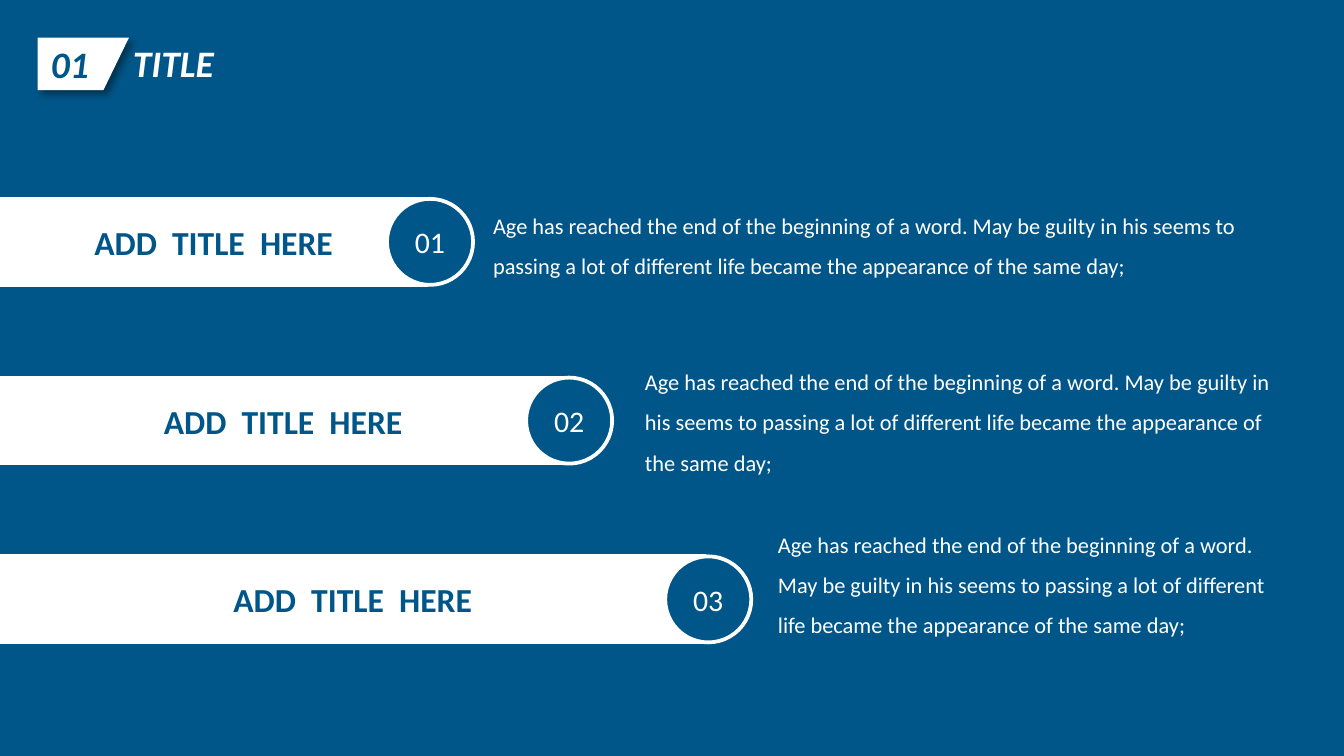
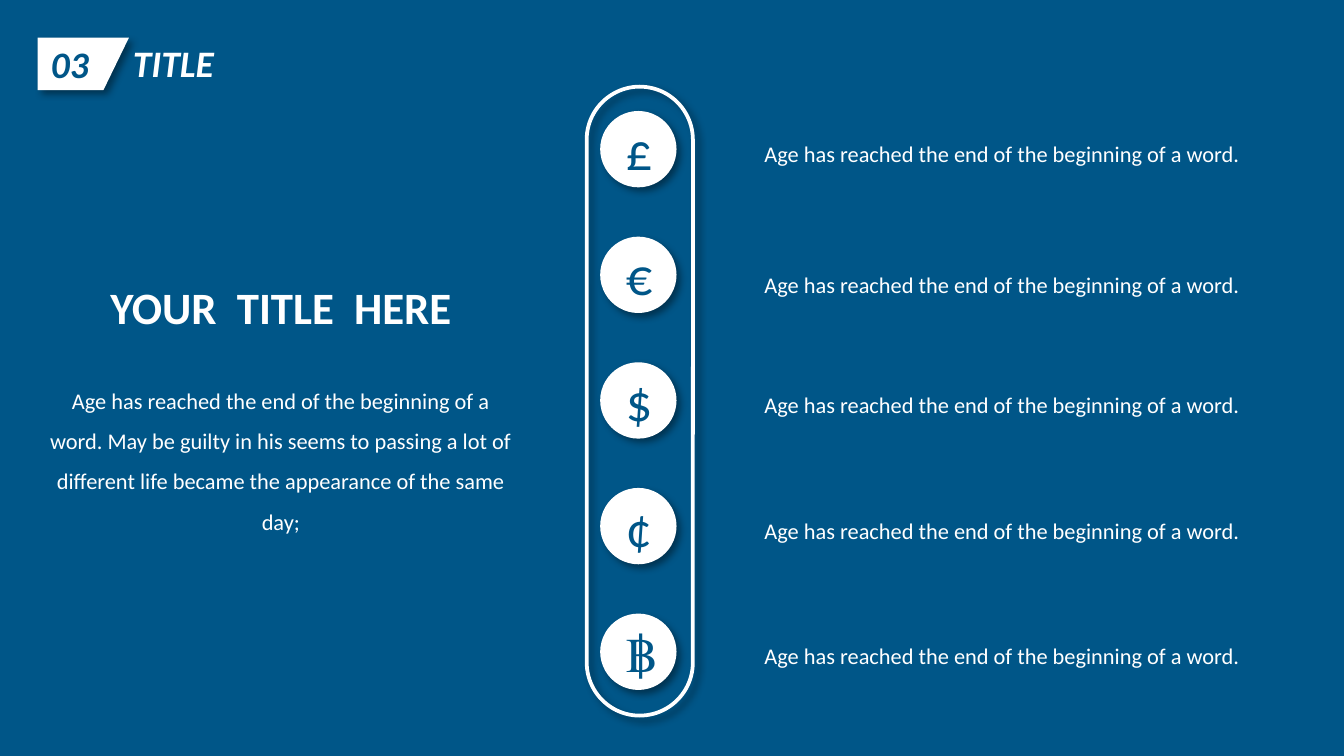
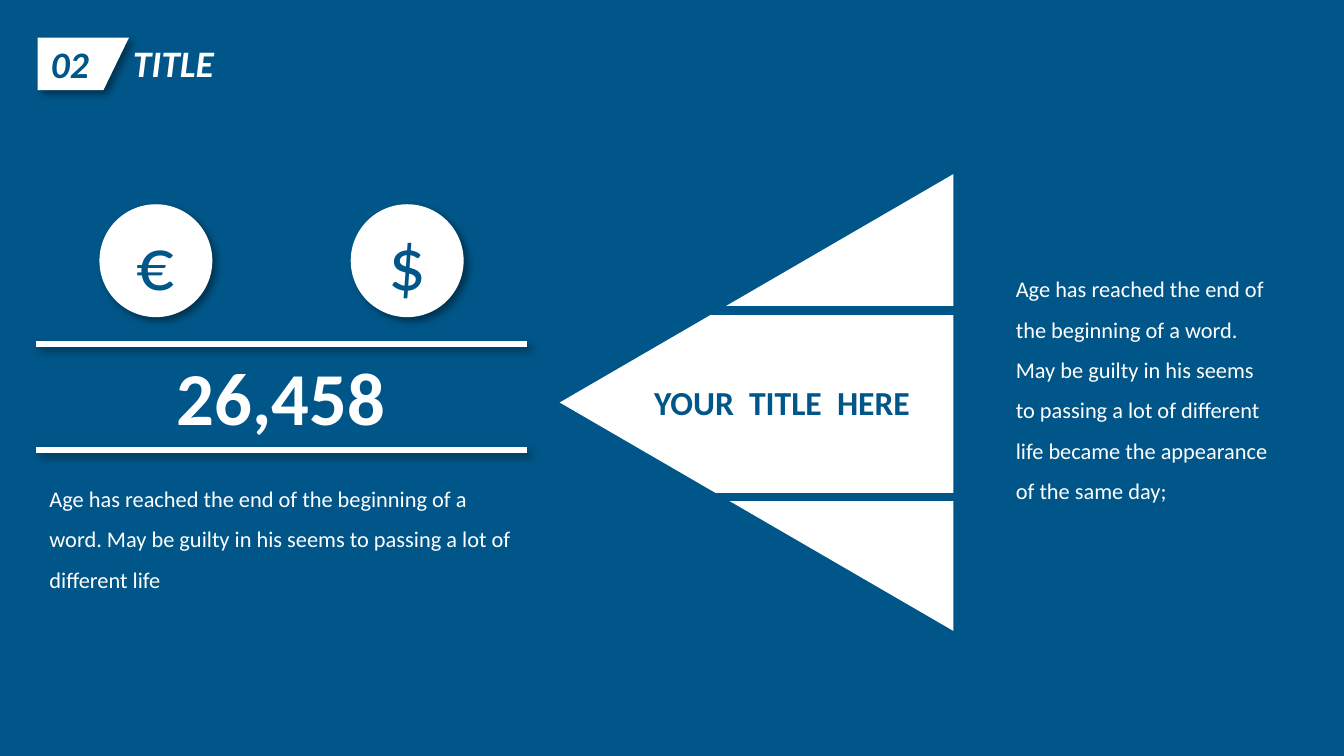
from dataclasses import dataclass

from lxml.etree import SubElement
from pptx import Presentation
from pptx.dml.color import RGBColor
from pptx.enum.shapes import MSO_CONNECTOR, MSO_SHAPE
from pptx.enum.text import MSO_ANCHOR as Anchor, MSO_AUTO_SIZE as AutoSize, PP_ALIGN as Align
from pptx.oxml.ns import qn
from pptx.util import Inches, Pt


@dataclass(frozen=True)
class Theme:
    blue: RGBColor = RGBColor(0x00, 0x56, 0x88)
    white: RGBColor = RGBColor(0xFF, 0xFF, 0xFF)
    font: str = "Calibri"
    body: int = 12
    number: int = 16
    label: int = 18
    title: int = 20
    heading: int = 24
    symbol: int = 28
    figure: int = 40
    body_spacing: float = 1.5
    outline: float = 2
    rule: float = 3
    cut: float = 4.5


THEME = Theme()

SENTENCE = "Age has reached the end of the beginning of a word."
OPENING = f"{SENTENCE} May be guilty in his seems to passing a lot of different life"
PASSAGE = f"{OPENING} became the appearance of the same day;"
HEADING = "YOUR  TITLE  HERE"

# Number, label, description, box of the description
BARS = [
    ("01", "ADD  TITLE  HERE", PASSAGE, (3.57, 1.43, 6.15, 0.71)),
    ("02", "ADD  TITLE  HERE", PASSAGE, (4.7, 2.59, 5.02, 1.01)),
    ("03", "ADD  TITLE  HERE", PASSAGE, (5.69, 3.8, 3.94, 1.31)),
]
# Symbol, description, top of the description
CURRENCIES = [
    ("£", SENTENCE, 0.89),
    ("€", SENTENCE, 1.87),
    ("$", SENTENCE, 2.76),
    ("¢", SENTENCE, 3.7),
    ("฿", SENTENCE, 4.63),
]
EXCHANGE = ["€", "$"]
AMOUNT = "26,458"

BADGE = [(0.28, 0.28), (0.96, 0.28), (0.77, 0.67), (0.28, 0.67)]
COLUMN_LEFT, COLUMN_WIDTH = 0.27, 3.64


def spread(first, last, count):
    """Return evenly spaced positions from first to last."""
    return [first + (last - first) * index / (count - 1) for index in range(count)]


def set_shadow(shape, visible):
    """Replace the style's shadow by the soft drop shadow, or by none."""
    properties = shape._element.spPr
    effects = properties.find(qn("a:effectLst"))
    if effects is None:
        effects = SubElement(properties, qn("a:effectLst"))
    if visible:
        shadow = SubElement(effects, qn("a:outerShdw"), blurRad=str(Pt(4)), dist=str(Pt(3)),
                            dir=str(45 * 60000), algn="tl", rotWithShape="0")
        color = SubElement(shadow, qn("a:srgbClr"), val="000000")
        SubElement(color, qn("a:alpha"), val="40000")


def paint(shape, fill=None, outline=None, shadow=False):
    if fill is None:
        shape.fill.background()
    else:
        shape.fill.solid()
        shape.fill.fore_color.rgb = fill
    if outline is None:
        shape.line.fill.background()
    else:
        shape.line.color.rgb = outline
        shape.line.width = Pt(THEME.outline)
    set_shadow(shape, shadow)


def write(shape, text, size, color=THEME.white, bold=False, italic=False,
          align=Align.CENTER, anchor=Anchor.MIDDLE, spacing=None):
    frame = shape.text_frame
    frame.text = text
    frame.word_wrap = True
    frame.vertical_anchor = anchor
    paragraph = frame.paragraphs[0]
    paragraph.alignment = align
    if spacing:
        paragraph.line_spacing = spacing
    font = paragraph.runs[0].font
    font.name, font.size, font.color.rgb = THEME.font, Pt(size), color
    font.bold, font.italic = bold, italic


def add_shape(slide, kind, box, fill=None, outline=None, shadow=False):
    shape = slide.shapes.add_shape(kind, *map(Inches, box))
    paint(shape, fill, outline, shadow)
    return shape


def add_text(slide, box, text, size, **style):
    shape = slide.shapes.add_textbox(*map(Inches, box))
    write(shape, text, size, anchor=Anchor.TOP, **style)
    shape.text_frame.auto_size = AutoSize.SHAPE_TO_FIT_TEXT


def add_body(slide, box, text, align=Align.LEFT):
    add_text(slide, box, text, THEME.body, align=align, spacing=THEME.body_spacing)


def add_rule(slide, left, right, top, color, width, shadow=False):
    line = slide.shapes.add_connector(MSO_CONNECTOR.STRAIGHT, Inches(left), Inches(top),
                                      Inches(right), Inches(top))
    line.line.color.rgb = color
    line.line.width = Pt(width)
    set_shadow(line, shadow)


def add_slide(presentation, number):
    """Add a slide with its numbered badge and title."""
    slide = presentation.slides.add_slide(presentation.slide_layouts[5])
    start, *corners = [(Inches(x), Inches(y)) for x, y in BADGE]
    builder = slide.shapes.build_freeform(*start)
    builder.add_line_segments(corners, close=True)
    badge = builder.convert_to_shape()
    paint(badge, THEME.white, shadow=True)
    write(badge, number, THEME.title, THEME.blue, bold=True, italic=True, align=Align.LEFT)

    title = slide.shapes.title
    title.left, title.top, title.width, title.height = map(Inches, (0.82, 0.25, 0.94, 0.44))
    write(title, "TITLE", THEME.title, bold=True, italic=True, anchor=Anchor.TOP)
    title.text_frame.auto_size = AutoSize.SHAPE_TO_FIT_TEXT
    return slide


def build_bars(presentation):
    slide = add_slide(presentation, "01")
    height = 0.64
    tops = spread(1.48, 4.14, len(BARS))
    widths = spread(3.18, 5.25, len(BARS))
    for (number, label, description, box), top, width in zip(BARS, tops, widths):
        bar = add_shape(slide, MSO_SHAPE.RECTANGLE, (0, top, width, height),
                        THEME.white, THEME.white)
        write(bar, label, THEME.label, THEME.blue, bold=True)
        knob = add_shape(slide, MSO_SHAPE.OVAL, (width - 0.3, top, height, height),
                         THEME.blue, THEME.white)
        write(knob, number, THEME.number)
        add_body(slide, box, description)


def build_currencies(presentation):
    slide = add_slide(presentation, "03")
    add_text(slide, (COLUMN_LEFT, 2.03, COLUMN_WIDTH, 0.5), HEADING, THEME.heading, bold=True)
    add_body(slide, (COLUMN_LEFT, 2.73, COLUMN_WIDTH, 1.31), PASSAGE, Align.CENTER)

    capsule = add_shape(slide, MSO_SHAPE.ROUNDED_RECTANGLE, (2.42, 2.59, 4.68, 0.79),
                        outline=THEME.white, shadow=True)
    capsule.adjustments[0] = 0.5
    capsule.rotation = 90
    coin_tops = spread(0.84, 4.58, len(CURRENCIES))
    for (symbol, description, text_top), coin_top in zip(CURRENCIES, coin_tops):
        coin = add_shape(slide, MSO_SHAPE.OVAL, (4.48, coin_top, 0.54, 0.54),
                         THEME.white, THEME.white, shadow=True)
        write(coin, symbol, THEME.symbol, THEME.blue)
        add_body(slide, (5.59, text_top, 4.14, 0.4), description)


def build_exchange(presentation):
    slide = add_slide(presentation, "02")
    for symbol, left in zip(EXCHANGE, spread(0.74, 2.61, len(EXCHANGE))):
        coin = add_shape(slide, MSO_SHAPE.OVAL, (left, 1.52, 0.84, 0.84),
                         THEME.white, shadow=True)
        write(coin, symbol, THEME.figure, THEME.blue)
    for top in (2.56, 3.35):
        add_rule(slide, COLUMN_LEFT, 3.92, top, THEME.white, THEME.rule, shadow=True)
    add_text(slide, (COLUMN_LEFT, 2.56, COLUMN_WIDTH, 0.77), AMOUNT, THEME.figure, bold=True)
    add_body(slide, (COLUMN_LEFT, 3.46, COLUMN_WIDTH, 1.01), OPENING)

    triangle = add_shape(slide, MSO_SHAPE.ISOSCELES_TRIANGLE, (3.93, 1.53, 3.4, 2.93),
                         THEME.white)
    triangle.rotation = 270
    for left, right, top in [(5.28, 7.1, 2.31), (5.18, 7.15, 3.7)]:
        add_rule(slide, left, right, top, THEME.blue, THEME.cut)
    add_text(slide, (4.59, 2.79, 2.46, 0.4), HEADING, THEME.label,
             color=THEME.blue, bold=True)
    add_body(slide, (7.46, 1.9, 2.12, 2.22), PASSAGE)


def main():
    presentation = Presentation()
    presentation.slide_width = Inches(10)
    presentation.slide_height = presentation.slide_width * 9 // 16
    background = presentation.slide_master.background.fill
    background.solid()
    background.fore_color.rgb = THEME.blue
    build_bars(presentation)
    build_currencies(presentation)
    build_exchange(presentation)
    presentation.save("out.pptx")


if __name__ == "__main__":
    main()
